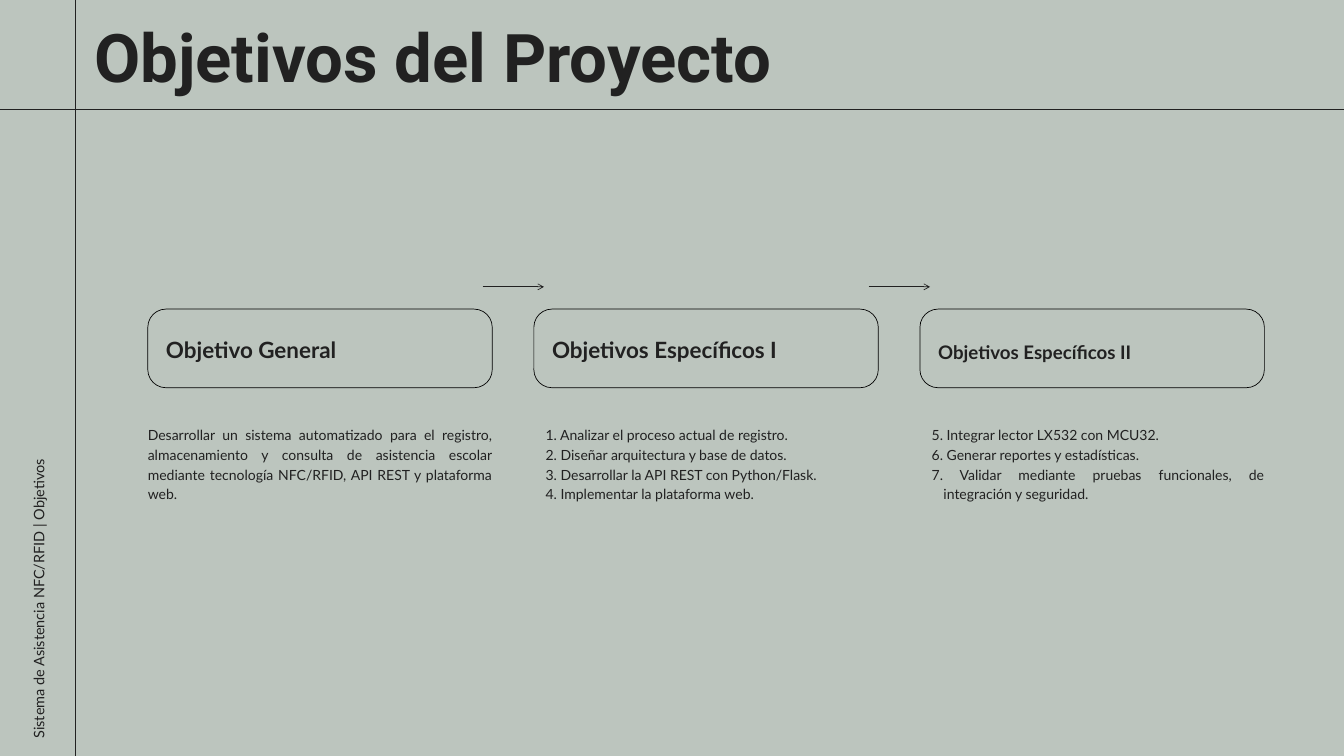
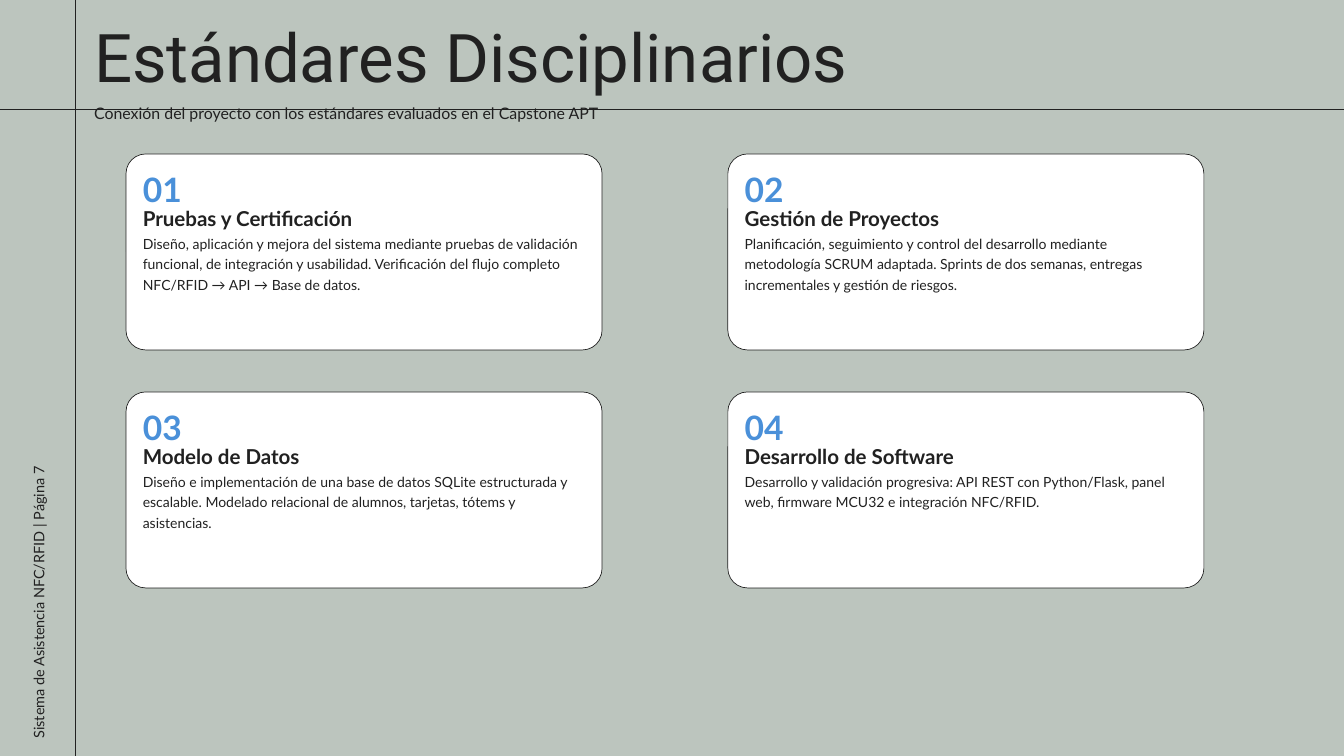
from dataclasses import dataclass

from lxml import etree
from pptx import Presentation
from pptx import slide as slides
from pptx import util as u
from pptx.dml import color
from pptx.enum import shapes, text
from pptx.oxml import ns

# Shared look: a grid of 160 columns by 90 rows covers the page
WIDTH, HEIGHT = u.Inches(20), u.Inches(11.25)
COLUMNS, ROWS = 160, 90
COLORS = {"sage": "BCC5BE", "ink": "212121", "black": "000000",
          "white": "FFFFFF", "blue": "4A90D9"}
RULE_COLUMN, RULE_ROW = 9, 13
TITLE_COLUMN = 11.2


@dataclass(frozen=True)
class Area:
    column: float
    row: float
    columns: float
    rows: float


@dataclass(frozen=True)
class Style:
    size: float
    spacing: float
    color: str = "ink"
    bold: bool = False
    font: str = "Lato"
    justified: bool = False
    hanging: bool = False


@dataclass(frozen=True)
class Objective:
    heading: str
    heading_size: float
    lines: tuple[str, ...]
    numbered: bool = True


@dataclass(frozen=True)
class Standard:
    heading: str
    body: str


FOOTER = Style(15.5, 21.6, justified=True)
SUBTITLE = Style(17, 23.8)
CARD_NUMBER = Style(36, 36, "blue", bold=True)
CARD_HEADING = Style(22, 26.4, bold=True)
CARD_BODY = Style(15, 21.8)

OBJECTIVES = (
    Objective("Objetivo General", 24, (
        "Desarrollar un sistema automatizado para el registro, almacenamiento y consulta "
        "de asistencia escolar mediante tecnología NFC/RFID, API REST y plataforma web.",
    ), numbered=False),
    Objective("Objetivos Específicos I", 24, (
        "1. Analizar el proceso actual de registro.",
        "2. Diseñar arquitectura y base de datos.",
        "3. Desarrollar la API REST con Python/Flask.",
        "4. Implementar la plataforma web.",
    )),
    Objective("Objetivos Específicos II", 20, (
        "5. Integrar lector LX532 con MCU32.",
        "6. Generar reportes y estadísticas.",
        "7. Validar mediante pruebas funcionales, de integración y seguridad.",
    )),
)

STANDARDS = (
    Standard("Pruebas y Certificación",
             "Diseño, aplicación y mejora del sistema mediante pruebas de validación funcional, "
             "de integración y usabilidad. Verificación del flujo completo "
             "NFC/RFID → API → Base de datos."),
    Standard("Gestión de Proyectos",
             "Planificación, seguimiento y control del desarrollo mediante metodología SCRUM "
             "adaptada. Sprints de dos semanas, entregas incrementales y gestión de riesgos."),
    Standard("Modelo de Datos",
             "Diseño e implementación de una base de datos SQLite estructurada y escalable. "
             "Modelado relacional de alumnos, tarjetas, tótems y asistencias."),
    Standard("Desarrollo de Software",
             "Desarrollo y validación progresiva: API REST con Python/Flask, panel web, "
             "firmware MCU32 e integración NFC/RFID."),
)


# Drawing helpers
def across(columns: float) -> u.Emu:
    return u.Emu(round(WIDTH * columns / COLUMNS))


def down(rows: float) -> u.Emu:
    return u.Emu(round(HEIGHT * rows / ROWS))


def place(area: Area) -> tuple[u.Emu, u.Emu, u.Emu, u.Emu]:
    return across(area.column), down(area.row), across(area.columns), down(area.rows)


def rgb(name: str) -> color.RGBColor:
    return color.RGBColor.from_string(COLORS[name])


def add_text(page: slides.Slide, area: Area, style: Style, *lines: str,
             rotation: float = 0) -> None:
    box = page.shapes.add_textbox(*place(area))
    box.rotation = rotation
    frame = box.text_frame
    frame.word_wrap = True
    frame.auto_size = text.MSO_AUTO_SIZE.SHAPE_TO_FIT_TEXT
    frame.margin_left = frame.margin_right = frame.margin_top = frame.margin_bottom = 0
    for index, line in enumerate(lines):
        para = frame.add_paragraph() if index else frame.paragraphs[0]
        para.line_spacing = u.Pt(style.spacing)
        para.alignment = text.PP_ALIGN.JUSTIFY if style.justified else text.PP_ALIGN.LEFT
        if style.hanging:
            para.level = 1
            properties = para._p.get_or_add_pPr()
            properties.set("marL", str(across(2.8)))
            properties.set("indent", str(-across(1.4)))
        span = para.add_run()
        span.text = line
        span.font.name = style.font
        span.font.size = u.Pt(style.size)
        span.font.bold = style.bold
        span.font.color.rgb = rgb(style.color)


def add_line(page: slides.Slide, start: tuple[float, float], end: tuple[float, float],
             arrow: bool = False) -> None:
    line = page.shapes.add_connector(
        shapes.MSO_CONNECTOR.STRAIGHT,
        across(start[0]), down(start[1]), across(end[0]), down(end[1]))
    line.line.color.rgb = rgb("ink")
    line.line.width = u.Pt(0.75)
    if arrow:
        etree.SubElement(line.line._get_or_add_ln(), ns.qn("a:tailEnd"), type="arrow")
    etree.SubElement(line._element.spPr, ns.qn("a:effectLst"))


def add_panel(page: slides.Slide, area: Area, corner: float, outline: str,
              fill: str | None = None) -> None:
    panel = page.shapes.add_shape(shapes.MSO_SHAPE.ROUNDED_RECTANGLE, *place(area))
    panel.shadow.inherit = False
    panel.adjustments[0] = corner
    panel.line.color.rgb = rgb(outline)
    panel.line.width = u.Pt(0.75)
    if fill:
        panel.fill.solid()
        panel.fill.fore_color.rgb = rgb(fill)
    else:
        panel.fill.background()


def add_page(deck: Presentation, title: str, title_row: float, title_style: Style,
             section: str) -> slides.Slide:
    page = deck.slides.add_slide(deck.slide_layouts[6])
    page.background.fill.solid()
    page.background.fill.fore_color.rgb = rgb("sage")
    add_line(page, (0, RULE_ROW), (COLUMNS, RULE_ROW))
    add_line(page, (RULE_COLUMN, 0), (RULE_COLUMN, ROWS))
    add_text(page, Area(TITLE_COLUMN, title_row, 99.7, 8.8), title_style, title)
    add_text(page, Area(-15.5, 67.05, 39.6, 2.15), FOOTER,
             f"Sistema de Asistencia NFC/RFID | {section}", rotation=270)
    return page


# Slide 1: three columns of objectives joined by arrows
def add_objectives(deck: Presentation) -> None:
    title_style = Style(71.9, 76.3, bold=True, font="Roboto", justified=True)
    page = add_page(deck, "Objetivos del Proyecto", 2.9, title_style, "Objetivos")
    left, pitch, width = 17.6, 45.96, 41
    for index, objective in enumerate(OBJECTIVES):
        column = left + index * pitch
        add_panel(page, Area(column, 36.8, width, 9.36), 0.23, "black")
        add_text(page, Area(column + 2.16, 39.5, 30.2, 3.5),
                 Style(objective.heading_size, 33.6, bold=True, justified=True),
                 objective.heading)
        add_text(page, Area(column, 50.5, width, 8.8),
                 Style(15, 21, justified=True, hanging=objective.numbered),
                 *objective.lines)
        if index:
            add_line(page, (column - 6.1, 34.15), (column + 1.2, 34.15), arrow=True)


# Slide 2: two by two cards of standards
def add_standards(deck: Presentation) -> None:
    title_style = Style(71.9, 79.1, font="Roboto", justified=True)
    page = add_page(deck, "Estándares Disciplinarios", 2.6, title_style, "Página 7")
    for index, standard in enumerate(STANDARDS):
        line, side = divmod(index, 2)
        column, row = 15 + side * 71.65, 18.33 + line * 28.33
        add_panel(page, Area(column, row, 56.67, 23.33), 0.1, "ink", "white")
        inner = column + 2
        add_text(page, Area(inner, row + 2.6, 6.6, 4.2), CARD_NUMBER, f"{index + 1:02}")
        add_text(page, Area(inner, row + 6.15, 52.65, 2.9), CARD_HEADING, standard.heading)
        add_text(page, Area(inner, row + 9.3, 52.65, 7.1), CARD_BODY, standard.body)
    add_text(page, Area(TITLE_COLUMN, 12, 83.4, 2.5), SUBTITLE,
             "Conexión del proyecto con los estándares evaluados en el Capstone APT")


def main() -> None:
    deck = Presentation()
    deck.slide_width, deck.slide_height = WIDTH, HEIGHT
    add_objectives(deck)
    add_standards(deck)
    deck.save("out.pptx")


if __name__ == "__main__":
    main()
